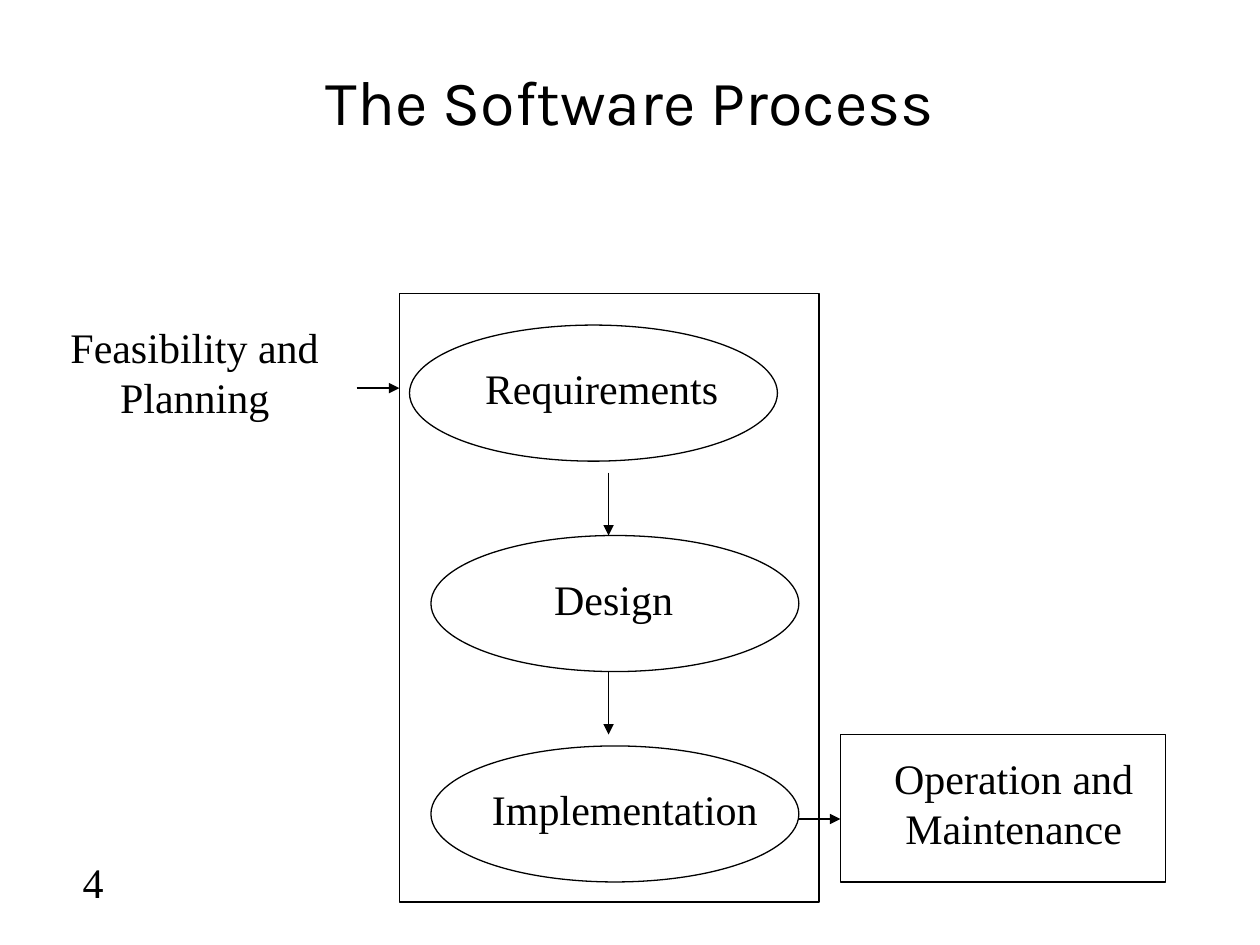
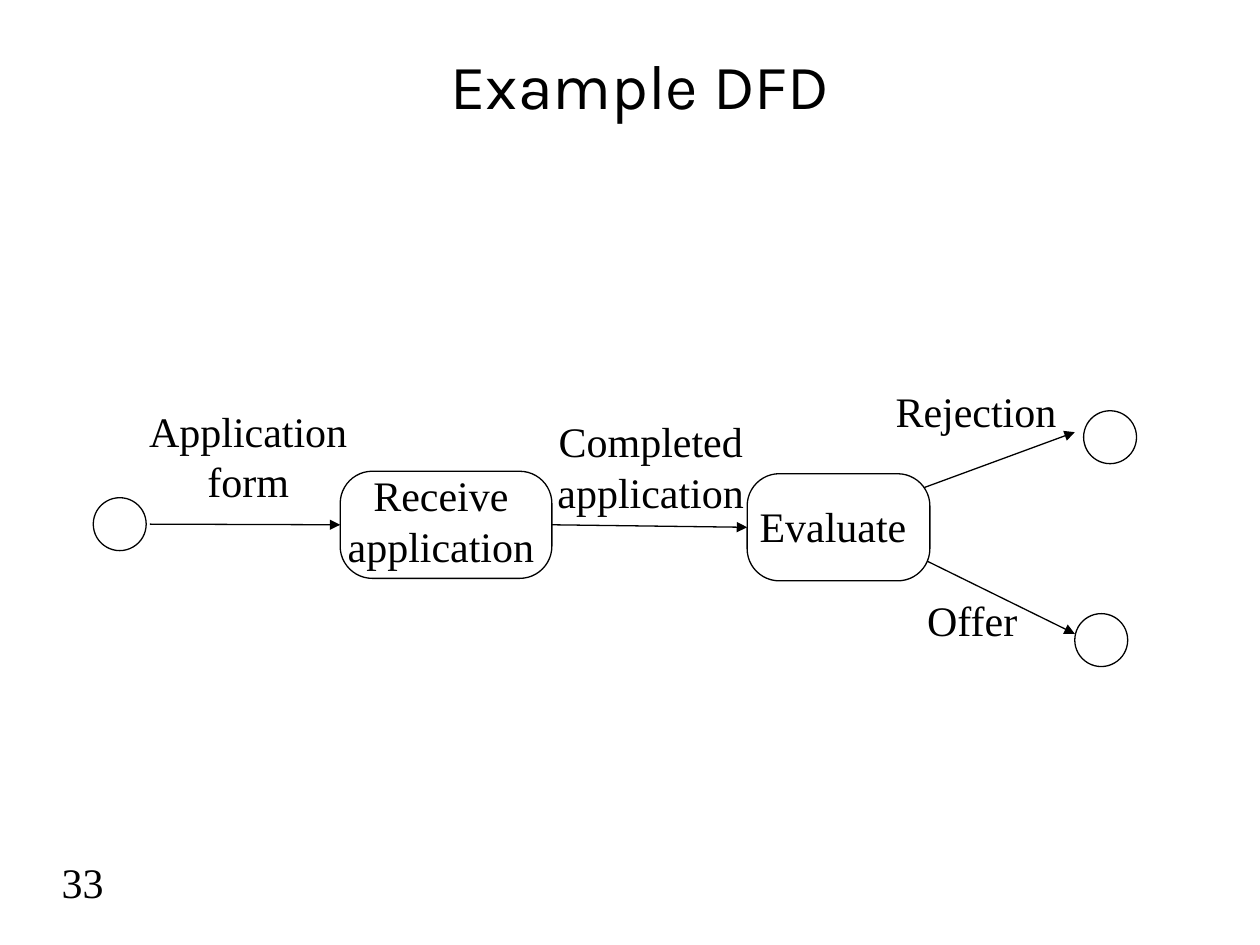
import pptx
import pptx.util
import pptx.dml.color
import pptx.enum.shapes
import pptx.enum.text
import pptx.oxml
import pptx.oxml.ns

Inches = pptx.util.Inches
Kind = pptx.enum.shapes.MSO_SHAPE
Align = pptx.enum.text.PP_ALIGN
Anchor = pptx.enum.text.MSO_ANCHOR

# Shared look
INK = "000000"
PAPER = "FFFFFF"
LINE_WIDTH = pptx.util.Pt(0.75)
TITLE_FONT = {"name": "Karla", "size": pptx.util.Pt(36), "bold": False}
LABEL_FONT = {"name": "Times New Roman", "size": pptx.util.Pt(24)}
FRAME = {
    "margin_left": Inches(0.1), "margin_right": Inches(0.1),
    "margin_top": Inches(0.05), "margin_bottom": Inches(0.05),
    "auto_size": pptx.enum.text.MSO_AUTO_SIZE.NONE, "word_wrap": True,
}
NUMBER_PLACE = (0.17, 6.75, 0.75, 0.5)
CORNER = 0.3


def paint(fill, colour):
    fill.solid()
    fill.fore_color.rgb = pptx.dml.color.RGBColor.from_string(colour)


def write(box, text, font, align, anchor):
    frame = box.text_frame
    for name, value in {**FRAME, "vertical_anchor": anchor}.items():
        setattr(frame, name, value)
    frame.text = text
    for para in frame.paragraphs:
        para.alignment = align
        for span in para.runs:
            for name, value in font.items():
                setattr(span.font, name, value)
            paint(span.font.fill, INK)


# Sizes that repeat within a diagram
STAGE = (2.92, 1.08)
CIRCLE = (0.42, 0.42)

# Slide content: shapes are name: (kind, place, fill); an arrow end is
# either a point or a (shape name, side) pair
process = {
    "title": "The Software Process",
    "title_place": (0.75, 0.17, 8.5, 1.25),
    "number": "4",
    "shapes": {
        "development": (Kind.RECTANGLE, (3.17, 2.33, 3.33, 4.83), None),
        "requirements": (Kind.OVAL, (3.25, 2.58, *STAGE), None),
        "design": (Kind.OVAL, (3.42, 4.25, *STAGE), None),
        "implementation": (Kind.OVAL, (3.42, 5.92, *STAGE), None),
        "operation": (Kind.RECTANGLE, (6.67, 5.83, 2.58, 1.17), None),
    },
    "arrows_behind": [],
    "arrows": [
        ((2.83, 3.08), (3.17, 3.08)),
        ((4.83, 3.75), (4.83, 4.25)),
        ((4.83, 5.33), (4.83, 5.83)),
        ((6.33, 6.5), (6.67, 6.5)),
    ],
    "labels": [
        ("Feasibility and\nPlanning", (0.42, 2.5, 2.25, 0.9), Align.CENTER),
        ("Requirements", (3.75, 2.83, 2.05, 0.5), Align.CENTER),
        ("Design", (3.58, 4.5, 2.58, 0.5), Align.CENTER),
        ("Implementation", (3.67, 6.17, 2.58, 0.5), Align.CENTER),
        ("Operation and\nMaintenance", (6.92, 5.92, 2.25, 0.9), Align.CENTER),
    ],
}
data_flow = {
    "title": "Example DFD",
    "title_place": (0.58, 0.17, 9, 1),
    "number": "33",
    "shapes": {
        "applicant": (Kind.FLOWCHART_CONNECTOR, (0.74, 3.95, *CIRCLE), None),
        "receive": (Kind.ROUNDED_RECTANGLE, (2.7, 3.74, 1.68, 0.85), None),
        "evaluate": (Kind.ROUNDED_RECTANGLE, (5.93, 3.76, 1.45, 0.85), PAPER),
        "rejected": (Kind.FLOWCHART_CONNECTOR, (8.6, 3.26, *CIRCLE), None),
        "offered": (Kind.FLOWCHART_CONNECTOR, (8.53, 4.87, *CIRCLE), None),
    },
    "arrows_behind": [
        ((7.28, 3.89), (8.53, 3.43)),
        ((7.27, 4.41), (8.53, 5.03)),
    ],
    "arrows": [
        ((1.19, 4.16), ("receive", 1)),
        (("receive", 3), ("evaluate", 1)),
    ],
    "labels": [
        ("Application\nform", (0.93, 3.17, 2.08, 0.9), Align.CENTER),
        ("Receive\napplication", (2.25, 3.68, 2.5, 0.9), Align.CENTER),
        ("Completed\napplication", (4, 3.25, 2.33, 0.9), Align.CENTER),
        ("Evaluate", (5.93, 3.92, 1.58, 0.5), Align.LEFT),
        ("Rejection", (7.01, 3.01, 1.67, 0.5), Align.LEFT),
        ("Offer", (7.26, 4.67, 1.08, 0.5), Align.LEFT),
    ],
}

deck = pptx.Presentation()
deck.slide_width, deck.slide_height = Inches(10), Inches(7.5)

for content in (process, data_flow):
    page = deck.slides.add_slide(deck.slide_layouts[5])
    paint(page.background.fill, PAPER)

    # Title
    title = page.shapes.title
    for side, length in zip(("left", "top", "width", "height"), content["title_place"]):
        setattr(title, side, Inches(length))
    write(title, content["title"], TITLE_FONT, Align.CENTER, Anchor.MIDDLE)

    # Shapes, with the covered arrows beneath them and the others above
    drawn = {}
    for layer in ("arrows_behind", "shapes", "arrows"):
        if layer == "shapes":
            for name, (kind, place, fill) in content["shapes"].items():
                shape = page.shapes.add_shape(kind, *map(Inches, place))
                shape.shadow.inherit = False
                shape.line.width = LINE_WIDTH
                paint(shape.line.fill, INK)
                if fill:
                    paint(shape.fill, fill)
                else:
                    shape.fill.background()
                if kind == Kind.ROUNDED_RECTANGLE:
                    shape.adjustments[0] = CORNER
                drawn[name] = shape
            continue
        for start, end in content[layer]:
            points = [(0, 0) if point[0] in drawn else point for point in (start, end)]
            arrow = page.shapes.add_connector(
                pptx.enum.shapes.MSO_CONNECTOR.STRAIGHT,
                *(Inches(value) for point in points for value in point))
            if start[0] in drawn:
                arrow.begin_connect(drawn[start[0]], start[1])
            if end[0] in drawn:
                arrow.end_connect(drawn[end[0]], end[1])
            arrow.line.width = LINE_WIDTH
            paint(arrow.line.fill, INK)
            properties = arrow.element.spPr
            outline = properties.find(pptx.oxml.ns.qn("a:ln"))
            namespace = pptx.oxml.ns.nsdecls("a")
            outline.append(pptx.oxml.parse_xml(f'<a:tailEnd {namespace} type="triangle"/>'))
            properties.append(pptx.oxml.parse_xml(f"<a:effectLst {namespace}/>"))

    # Labels and page number
    number = (content["number"], NUMBER_PLACE, Align.RIGHT)
    for text, place, align in [*content["labels"], number]:
        box = page.shapes.add_textbox(*map(Inches, place))
        write(box, text, LABEL_FONT, align, Anchor.TOP)

deck.save("out.pptx")
